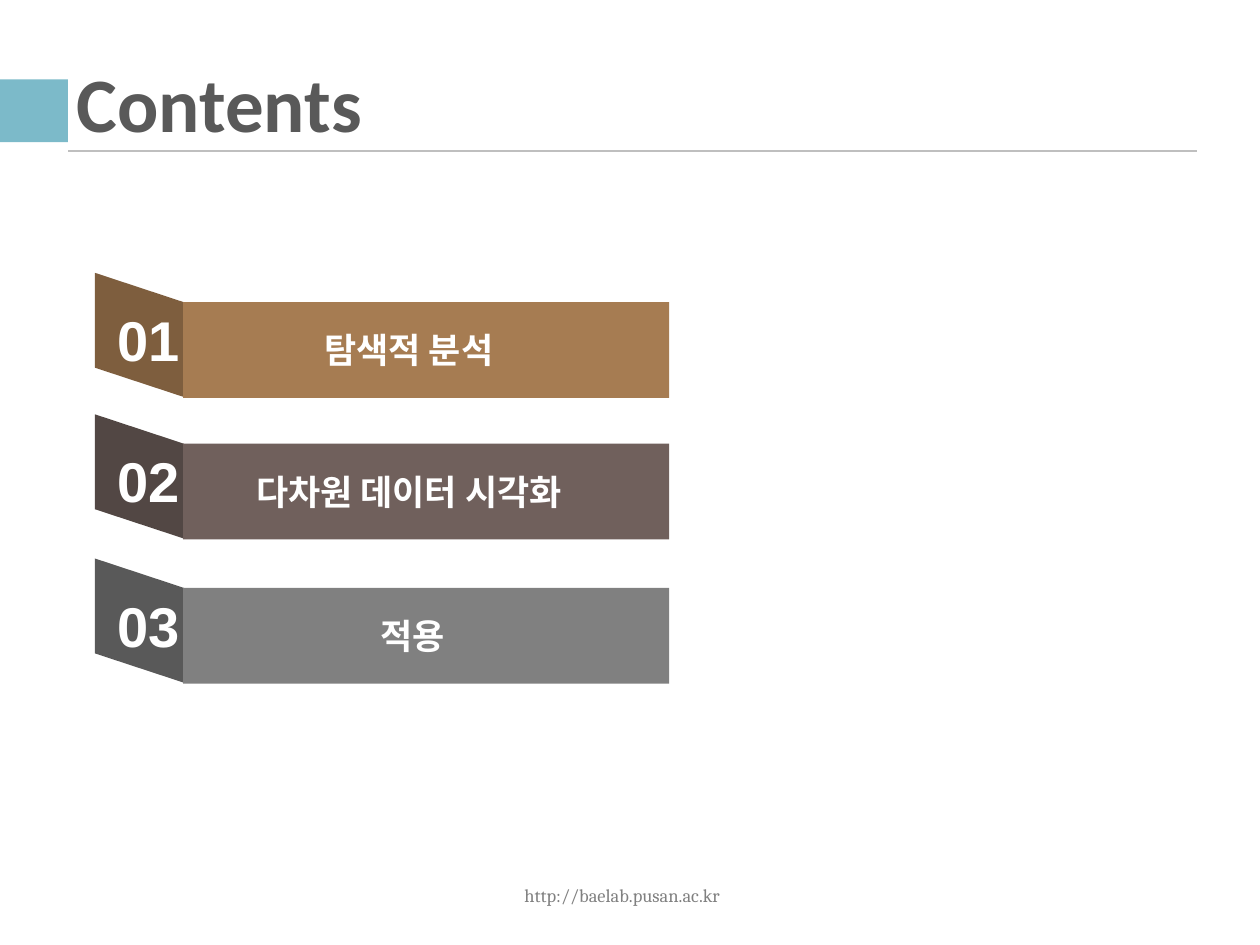
from lxml import etree
from pptx import Presentation
from pptx.dml.color import RGBColor
from pptx.enum.shapes import MSO_CONNECTOR, MSO_SHAPE
from pptx.enum.text import MSO_ANCHOR, MSO_AUTO_SIZE, PP_ALIGN
from pptx.oxml.ns import qn
from pptx.util import Cm, Pt

RECTANGLE = MSO_SHAPE.RECTANGLE
PARALLELOGRAM = MSO_SHAPE.PARALLELOGRAM
STRAIGHT = MSO_CONNECTOR.STRAIGHT
TOP, MIDDLE = MSO_ANCHOR.TOP, MSO_ANCHOR.MIDDLE
LEFT, CENTER = PP_ALIGN.LEFT, PP_ALIGN.CENTER
NO_AUTOFIT = MSO_AUTO_SIZE.NONE

CHAPTERS = [
    ("01", "탐색적 분석", 4.57, 2.51, "A67C52", "7E5E3E"),
    ("02", "다차원 데이터 시각화", 6.71, 2.51, "70605C", "524744"),
    ("03", "적용", 8.89, 2.57, "808080", "595959"),
]


def color(hex_value):
    """Turn a hex string into a colour."""
    return RGBColor.from_string(hex_value)


class ContentsSlide:
    """Holds the slide and its style, and draws each kind of element."""

    title_font, footer_font = "Calibri", "Cambria"
    number_font, label_font = "Arial", "Noto Sans CJK KR"
    dark, gray, white = "595959", "808080", "FFFFFF"
    accent, rule_color = "7CBAC9", "BFBFBF"
    tight_insets, wide_insets = (0.19, 0.1), (0.25, 0.13)

    def __init__(self, presentation):
        """Add a title-only slide."""
        self.slide = presentation.slides.add_slide(presentation.slide_layouts[5])

    def fill_text(self, shape, text, font, size, hex_value, bold=True,
                  align=LEFT, anchor=MIDDLE, insets=tight_insets):
        """Put one formatted run in a shape and return its paragraph."""
        frame = shape.text_frame
        frame.word_wrap = True
        frame.auto_size = NO_AUTOFIT
        frame.vertical_anchor = anchor
        frame.margin_left = frame.margin_right = Cm(insets[0])
        frame.margin_top = frame.margin_bottom = Cm(insets[1])
        paragraph = frame.paragraphs[0]
        paragraph.alignment = align
        run = paragraph.add_run()
        run.text = text
        run.font.size = Pt(size)
        run.font.bold = bold
        run.font.color.rgb = color(hex_value)
        run.font.name = font
        etree.SubElement(run.font._element, qn("a:ea"), typeface=font)
        return paragraph

    def title(self, text):
        """Place and fill the title placeholder."""
        title = self.slide.shapes.title
        title.left, title.top = Cm(0.97), Cm(1.22)
        title.width, title.height = Cm(17.15), Cm(0.89)
        paragraph = self.fill_text(title, text, self.title_font, 33, self.dark)
        paragraph.line_spacing = 0.8

    def text(self, text, left, top, width, height, *style, **layout):
        """Add a text box."""
        box = self.slide.shapes.add_textbox(
            Cm(left), Cm(top), Cm(width), Cm(height))
        self.fill_text(box, text, *style, **layout)

    def block(self, kind, left, top, width, height, hex_value):
        """Add a filled shape without outline."""
        shape = self.slide.shapes.add_shape(
            kind, Cm(left), Cm(top), Cm(width), Cm(height))
        shape.shadow.inherit = False
        shape.fill.solid()
        shape.fill.fore_color.rgb = color(hex_value)
        shape.line.fill.background()
        return shape

    def rule(self, left, right, top):
        """Add a horizontal line."""
        line = self.slide.shapes.add_connector(
            STRAIGHT, Cm(left), Cm(top), Cm(right), Cm(top))
        line.line.color.rgb = color(self.rule_color)
        line.line.width = Pt(1)
        etree.SubElement(line._element.spPr, qn("a:effectLst"))

    def chapter(self, number, label, top, label_left, front, side):
        """Add a folded banner with its number and label."""
        fold = self.block(PARALLELOGRAM, 1.17, top - 0.18, 1.88, 1.35, side)
        fold.adjustments[0] = 0.33
        fold.rotation = 270
        self.block(RECTANGLE, 2.77, top, 7.35, 1.45, front)
        self.text(number, 1.52, top - 0.08, 1.8, 1.27, self.number_font, 24,
                  self.white, anchor=TOP, insets=self.wide_insets)
        self.text(label, label_left, top + 0.3, 7.35, 0.84, self.label_font,
                  15, self.white, align=CENTER)


def main():
    """Build the contents slide."""
    presentation = Presentation()
    presentation.slide_width, presentation.slide_height = Cm(19.05), Cm(14.29)
    contents = ContentsSlide(presentation)
    contents.title("Contents")
    contents.block(RECTANGLE, 0, 1.2, 1.03, 0.95, contents.accent)
    contents.rule(1.03, 18.1, 2.28)
    for chapter in CHAPTERS:
        contents.chapter(*chapter)
    contents.text("http://baelab.pusan.ac.kr", 6.38, 13.16, 6.05, 0.76,
                  contents.footer_font, 7.9, contents.gray, bold=False,
                  align=CENTER)
    presentation.save("out.pptx")


if __name__ == "__main__":
    main()
